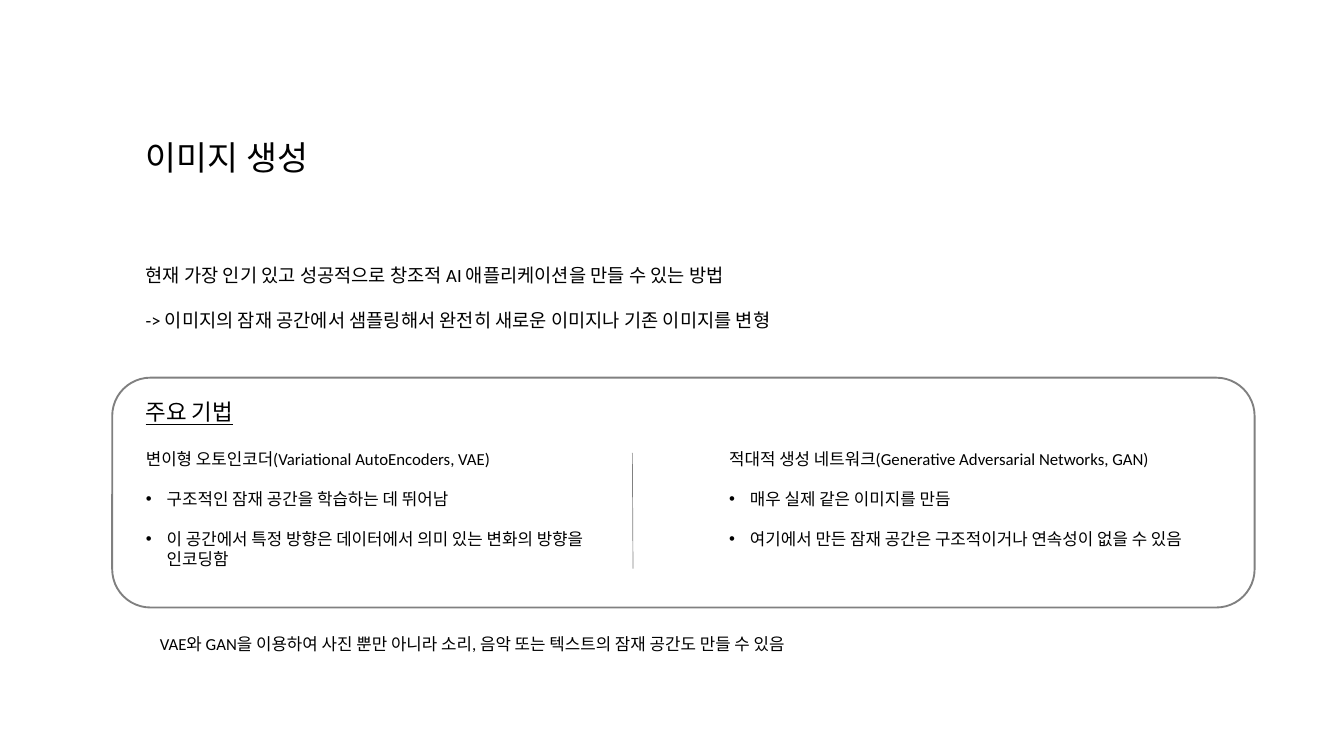
from lxml import etree
from pptx import Presentation
from pptx import util as u
from pptx.dml.color import RGBColor
from pptx.enum import shapes, text
from pptx.oxml.ns import qn

BLACK = RGBColor(0x00, 0x00, 0x00)
GRAY = RGBColor(0x80, 0x80, 0x80)

TITLE = "이미지 생성"
INTRO = [
    "현재 가장 인기 있고 성공적으로 창조적 AI 애플리케이션을 만들 수 있는 방법",
    "-> 이미지의 잠재 공간에서 샘플링해서 완전히 새로운 이미지나 기존 이미지를 변형",
]
HEADING = "주요 기법"
TECHNIQUES = [
    {
        "name": "변이형 오토인코더(Variational AutoEncoders, VAE)",
        "points": [
            "구조적인 잠재 공간을 학습하는 데 뛰어남",
            "이 공간에서 특정 방향은 데이터에서 의미 있는 변화의 방향을 인코딩함",
        ],
        "place": (2.07, 6.62, 7.18, 2.22),
    },
    {
        "name": "적대적 생성 네트워크(Generative Adversarial Networks, GAN)",
        "points": [
            "매우 실제 같은 이미지를 만듬",
            "여기에서 만든 잠재 공간은 구조적이거나 연속성이 없을 수 있음",
        ],
        "place": (10.75, 6.62, 7.67, 1.62),
    },
]
NOTE = "VAE와 GAN을 이용하여 사진 뿐만 아니라 소리, 음악 또는 텍스트의 잠재 공간도 만들 수 있음"


def put_text(box, place, lines, size, font="Calibri", gap=0, underline=None, bullets_from=None):
    box.left, box.top, box.width, box.height = map(u.Inches, place)
    frame = box.text_frame
    frame.word_wrap = True
    frame.auto_size = text.MSO_AUTO_SIZE.NONE
    frame.vertical_anchor = text.MSO_ANCHOR.TOP
    for index, line in enumerate(lines):
        para = frame.paragraphs[0] if index == 0 else frame.add_paragraph()
        bulleted = bullets_from is not None and index >= bullets_from
        indent = u.Inches(0.31) if bulleted else 0
        properties = para._p.get_or_add_pPr()
        properties.set("marL", str(indent))
        properties.set("indent", str(-indent))
        if bulleted:
            etree.SubElement(properties, qn("a:buFont")).set("typeface", "Arial")
            etree.SubElement(properties, qn("a:buChar")).set("char", "•")
        else:
            etree.SubElement(properties, qn("a:buNone"))
        para.alignment = text.PP_ALIGN.LEFT
        para.space_before = u.Pt(gap if index else 0)
        span = para.add_run()
        span.text = line
        span.font.size = u.Pt(size)
        span.font.name = font
        span.font.underline = underline
        span.font.color.rgb = BLACK


def main():
    deck = Presentation()
    deck.slide_width, deck.slide_height = u.Inches(20), u.Inches(11.25)
    page = deck.slides.add_slide(deck.slide_layouts.get_by_name("Two Content"))

    def new_box():
        return page.shapes.add_textbox(0, 0, 0, 0)

    put_text(page.shapes.title, (2.07, 1.98, 7.02, 0.71), [TITLE], 36, font="Lato")
    put_text(new_box(), (2.07, 3.88, 14.68, 1.2), INTRO, 20, gap=24)
    put_text(new_box(), (2.07, 5.88, 7.18, 0.5), [HEADING], 24, underline=True)
    for number, technique in enumerate(TECHNIQUES, start=1):
        put_text(page.placeholders[number], technique["place"],
                 [technique["name"], *technique["points"]], 18, gap=21.5, bullets_from=1)
    put_text(new_box(), (2.28, 9.38, 12.81, 0.4), [NOTE], 18)

    panel = page.shapes.add_shape(shapes.MSO_SHAPE.ROUNDED_RECTANGLE,
                                  *map(u.Inches, (1.67, 5.62, 17, 3.42)))
    panel.shadow.inherit = False
    panel.fill.background()
    panel.line.color.rgb = GRAY
    panel.line.width = u.Pt(2)

    divider = page.shapes.add_connector(shapes.MSO_CONNECTOR.STRAIGHT,
                                        *map(u.Inches, (9.41, 6.74, 9.42, 8.46)))
    divider.line.color.rgb = GRAY
    divider.line.width = u.Pt(0.75)
    etree.SubElement(divider._element.spPr, qn("a:effectLst"))

    deck.save("out.pptx")


if __name__ == "__main__":
    main()
